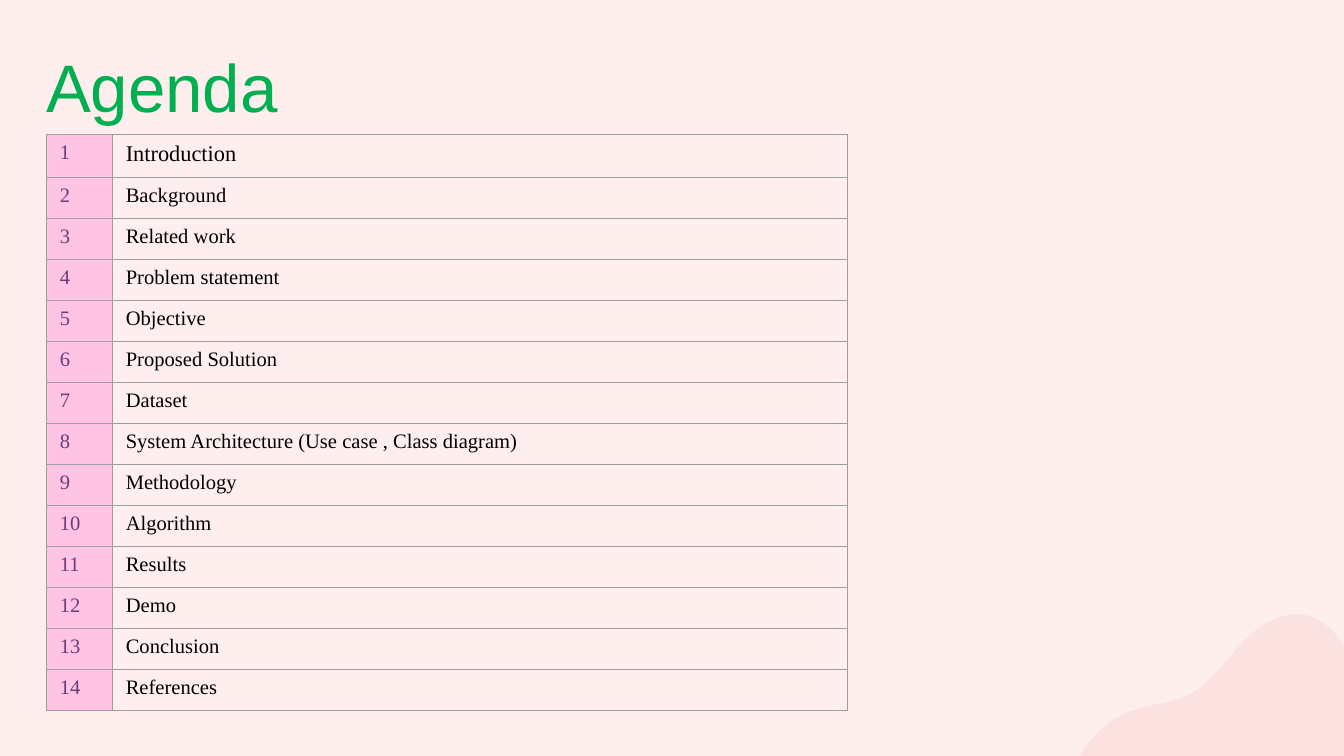
from typing import NamedTuple

import pptx
import pptx.dml.color
import pptx.enum.text
import pptx.oxml
import pptx.oxml.ns
import pptx.util

COLORS = {
    "background": "FFEEEE",
    "blob": "FCE1E1",
    "title": "00B050",
    "number": "6B3D77",
    "number_fill": "FFC3E4",
    "topic": "000000",
    "border": "9E9E9E",
}
SLIDE_WIDTH = pptx.util.Inches(10)
SLIDE_HEIGHT = SLIDE_WIDTH * 9 // 16
GRID_COLUMNS = 100  # square grid cells across the slide


class Point(NamedTuple):
    x: float
    y: float


class Curve(NamedTuple):
    """Cubic curve from the previous end point, in grid cells."""
    control_1: Point
    control_2: Point
    end: Point


class AgendaItem(NamedTuple):
    topic: str
    size: float = 11


AGENDA = [
    AgendaItem("Introduction", 12),
    AgendaItem("Background"),
    AgendaItem("Related work"),
    AgendaItem("Problem statement"),
    AgendaItem("Objective"),
    AgendaItem("Proposed Solution"),
    AgendaItem("Dataset"),
    AgendaItem("System Architecture (Use case , Class diagram)"),
    AgendaItem("Methodology"),
    AgendaItem("Algorithm"),
    AgendaItem("Results"),
    AgendaItem("Demo"),
    AgendaItem("Conclusion"),
    AgendaItem("References"),
]

BLOB_START = Point(88.5, 68.1)
BLOB_CURVES = [
    Curve(Point(89.1, 68.1), Point(89.7, 68.1), Point(90.3, 68)),
    Curve(Point(93.2, 67.6), Point(95.8, 66.5), Point(98.6, 65.8)),
    Curve(Point(103.2, 64.5), Point(110.1, 67.2), Point(112, 60.7)),
    Curve(Point(113, 57.2), Point(110.7, 53.1), Point(107.2, 52.2)),
    Curve(Point(105.7, 51.8), Point(104, 51.9), Point(102.7, 51.1)),
    Curve(Point(100.6, 49.9), Point(100, 46.9), Point(97.8, 46)),
    Curve(Point(97.4, 45.8), Point(97, 45.7), Point(96.6, 45.7)),
    Curve(Point(95.4, 45.7), Point(94.1, 46.3), Point(93.2, 47.1)),
    Curve(Point(91.9, 48.2), Point(91, 49.7), Point(89.7, 50.8)),
    Curve(Point(87.9, 52.6), Point(85.9, 52.1), Point(83.7, 53.1)),
    Curve(Point(81.5, 54.1), Point(79.8, 56.4), Point(79.5, 58.9)),
    Curve(Point(79.2, 61.5), Point(80.3, 64.3), Point(82.2, 66)),
    Curve(Point(83.9, 67.5), Point(86.2, 68.1), Point(88.5, 68.1)),
]


def grid(cells: float) -> int:
    """Length of a number of grid cells in EMU."""
    return round(SLIDE_WIDTH * cells / GRID_COLUMNS)


def rgb(name: str) -> pptx.dml.color.RGBColor:
    return pptx.dml.color.RGBColor.from_string(COLORS[name])


def format_text(frame, font_name: str, size: float, color: str) -> None:
    for run in frame.paragraphs[0].runs:
        run.font.name = font_name
        run.font.size = pptx.util.Pt(size)
        run.font.color.rgb = rgb(color)


def bend_lines(shape) -> None:
    """Turn each three line segments of a freeform into one cubic curve."""
    lines = shape._element.findall(".//" + pptx.oxml.ns.qn("a:lnTo"))
    for first in range(0, len(lines), 3):
        curve = pptx.oxml.parse_xml(f'<a:cubicBezTo {pptx.oxml.ns.nsdecls("a")}/>')
        lines[first].addprevious(curve)
        for line in lines[first:first + 3]:
            curve.append(line[0])
            line.getparent().remove(line)


def draw_blob(slide) -> None:
    builder = slide.shapes.build_freeform(grid(BLOB_START.x), grid(BLOB_START.y))
    builder.add_line_segments(
        [(grid(point.x), grid(point.y)) for curve in BLOB_CURVES for point in curve],
        close=True,
    )
    blob = builder.convert_to_shape()
    bend_lines(blob)
    blob.shadow.inherit = False
    blob.fill.solid()
    blob.fill.fore_color.rgb = rgb("blob")
    blob.line.fill.background()


def draw_title(slide) -> None:
    title = slide.shapes.add_textbox(grid(2.45), grid(2.4), grid(84.5), grid(6.3))
    frame = title.text_frame
    frame.word_wrap = True
    frame.vertical_anchor = pptx.enum.text.MSO_ANCHOR.TOP
    frame.margin_left = frame.margin_right = grid(1)
    frame.margin_top = frame.margin_bottom = grid(1)
    frame.text = "Agenda"
    format_text(frame, "Arial", 36, "title")


def add_borders(cell) -> None:
    properties = cell._tc.get_or_add_tcPr()
    for position, side in enumerate(("lnL", "lnR", "lnT", "lnB")):
        properties.insert(position, pptx.oxml.parse_xml(
            f'<a:{side} {pptx.oxml.ns.nsdecls("a")} w="{pptx.util.Pt(0.75)}">'
            f'<a:solidFill><a:srgbClr val="{COLORS["border"]}"/></a:solidFill>'
            f'</a:{side}>'
        ))


def draw_agenda(slide) -> None:
    first_height, height = 3.2, 42.9
    table = slide.shapes.add_table(
        len(AGENDA), 2, grid(3.46), grid(10), grid(59.6), grid(height)
    ).table
    table.first_row = table.horz_banding = False
    table.columns[0].width = grid(4.9)
    table.columns[1].width = grid(54.7)
    other_height = (height - first_height) / (len(AGENDA) - 1)
    for index, item in enumerate(AGENDA):
        table.rows[index].height = grid(other_height if index else first_height)
        number, topic = table.cell(index, 0), table.cell(index, 1)
        number.text_frame.text = str(index + 1)
        format_text(number.text_frame, "Times New Roman", 11, "number")
        number.fill.solid()
        number.fill.fore_color.rgb = rgb("number_fill")
        topic.text_frame.text = item.topic
        format_text(topic.text_frame, "Times New Roman", item.size, "topic")
        topic.fill.background()
        add_borders(number)
        add_borders(topic)


def main() -> None:
    presentation = pptx.Presentation()
    presentation.slide_width = SLIDE_WIDTH
    presentation.slide_height = SLIDE_HEIGHT
    slide = presentation.slides.add_slide(presentation.slide_layouts[6])
    slide.background.fill.solid()
    slide.background.fill.fore_color.rgb = rgb("background")
    draw_blob(slide)
    draw_title(slide)
    draw_agenda(slide)
    presentation.save("out.pptx")


if __name__ == "__main__":
    main()
